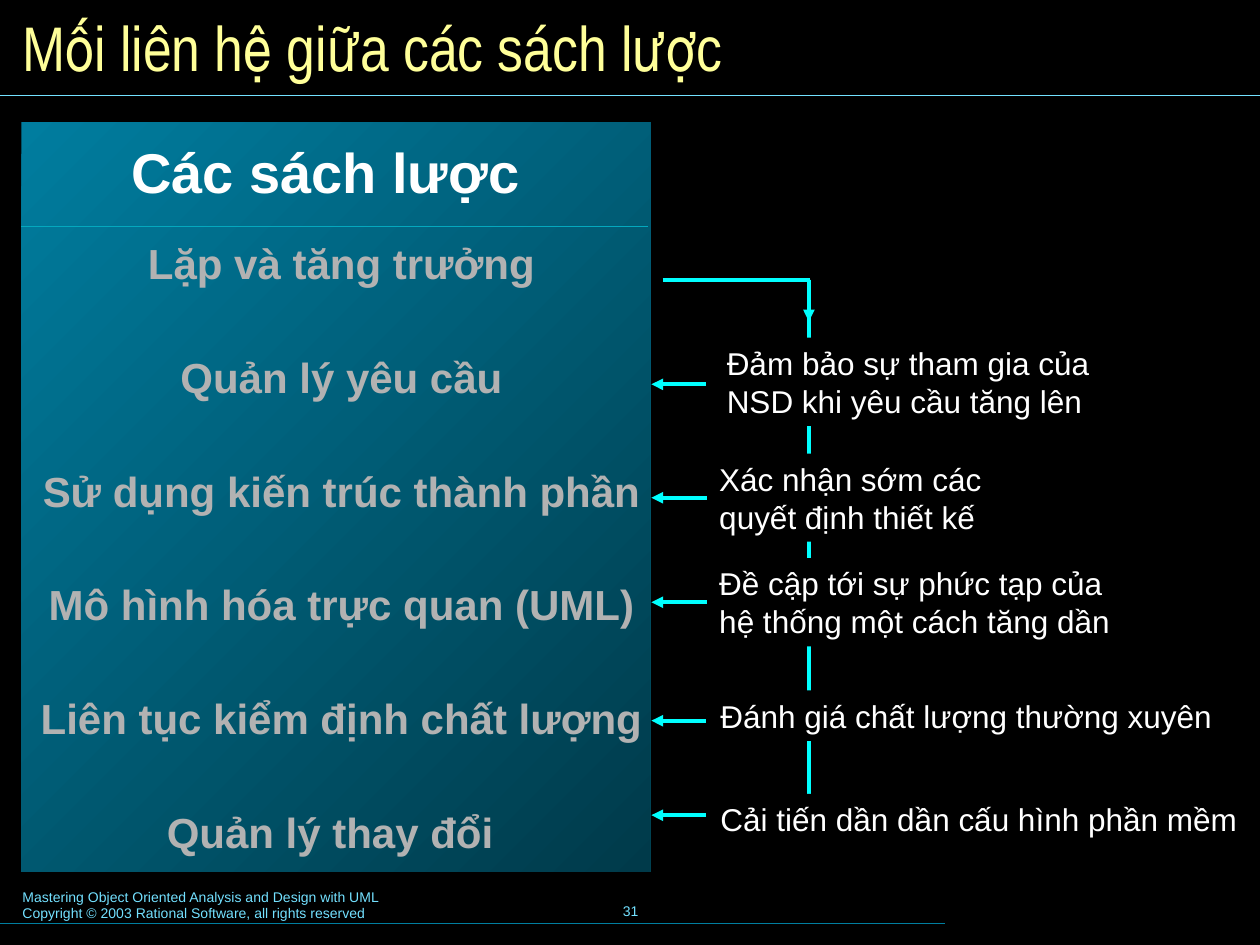
from lxml import etree
from pptx import Presentation
from pptx import util as u
from pptx.dml.color import RGBColor
from pptx.enum import shapes, text
from pptx.oxml import ns

PX = 9144  # EMU in one px, 100 px to the inch

BLACK = RGBColor(0x00, 0x00, 0x00)
WHITE = RGBColor(0xFF, 0xFF, 0xFF)
GREY = RGBColor(0xB2, 0xB2, 0xB2)
YELLOW = RGBColor(0xFF, 0xFF, 0x99)
CYAN = RGBColor(0x00, 0xFF, 0xFF)
SKY = RGBColor(0x73, 0xE1, 0xFF)
TEAL = RGBColor(0x00, 0x7E, 0x9F)
RULE = RGBColor(0x04, 0xA8, 0xBE)
PANEL_LIGHT = RGBColor(0x00, 0x7D, 0x9F)
PANEL_DARK = RGBColor(0x00, 0x3A, 0x4A)

LEFT, CENTER = text.PP_ALIGN.LEFT, text.PP_ALIGN.CENTER
TOP, MIDDLE = text.MSO_ANCHOR.TOP, text.MSO_ANCHOR.MIDDLE

PRACTICES = [
    "Lặp và tăng trưởng",
    "Quản lý yêu cầu",
    "Sử dụng kiến trúc thành phần",
    "Mô hình hóa trực quan (UML)",
    "Liên tục kiểm định chất lượng",
    "Quản lý thay đổi",
]

# Left, top, width, height, arrow level, lines
BENEFITS = [
    (567, 268, 307, 70, 305, ["Đảm bảo sự tham gia của", "NSD khi yêu cầu tăng lên"]),
    (561, 360, 228, 70, 397, ["Xác nhận sớm các", "quyết định thiết kế"]),
    (561, 443, 331, 70, 480, ["Đề cập tới sự phức tạp của", "hệ thống một cách tăng dần"]),
    (562, 548, 410, 40, 572, ["Đánh giá chất lượng thường xuyên"]),
    (562, 630, 430, 40, 647, ["Cải tiến dần dần cấu hình phần mềm"]),
]
ARROW_START, ARROW_END = 560, 517
TRUNK = 642


def px(*values):
    return [u.Emu(v * PX) for v in values]


def place(shape, *box):
    shape.left, shape.top, shape.width, shape.height = px(*box)


def add_text_shadow(r):
    """Put a small black shadow behind a run, just after its fill."""
    effects = etree.Element(ns.qn("a:effectLst"))
    shadow = etree.SubElement(effects, ns.qn("a:outerShdw"), dist="25400", dir="2700000")
    etree.SubElement(shadow, ns.qn("a:srgbClr"), val=str(BLACK))
    r.font.fill._xPr.find(ns.qn("a:solidFill")).addnext(effects)


def write(shape, lines, *, size, color, font="Arial", bold=False, align=LEFT,
          anchor=TOP, wrap=True, spacing=1.0, gap=0, shadow=False):
    tf = shape.text_frame
    tf.auto_size = text.MSO_AUTO_SIZE.NONE
    tf.word_wrap = wrap
    tf.vertical_anchor = anchor
    for i, line in enumerate(lines):
        p = tf.paragraphs[0] if i == 0 else tf.add_paragraph()
        p.alignment = align
        p.line_spacing = spacing
        p.space_before = u.Pt(gap if i else 0)
        r = p.add_run()
        r.text = line
        r.font.size = u.Pt(size)
        r.font.bold = bold
        r.font.color.rgb = color
        r.font.name = font
        if shadow:
            add_text_shadow(r)
    return tf


def add_text(s, box, lines, **fmt):
    write(s.shapes.add_textbox(*px(*box)), lines, **fmt)


def add_line(s, x1, y1, x2, y2, color, width, arrow=False):
    line = s.shapes.add_connector(shapes.MSO_CONNECTOR.STRAIGHT, *px(x1, y1, x2, y2))
    line.line.color.rgb = color
    line.line.width = u.Pt(width)
    if arrow:
        etree.SubElement(line.line._get_or_add_ln(), ns.qn("a:tailEnd"), type="triangle")
    etree.SubElement(line._element.spPr, ns.qn("a:effectLst"))
    return line


def add_rect(s, *box):
    rect = s.shapes.add_shape(shapes.MSO_SHAPE.RECTANGLE, *px(*box))
    rect.shadow.inherit = False
    rect.line.fill.background()
    return rect


def add_panel(s):
    panel = add_rect(s, 17, 97, 499, 595)
    panel.fill.gradient()
    panel.fill.gradient_angle = 315
    for stop, color in zip(panel.fill.gradient_stops, (PANEL_LIGHT, PANEL_DARK)):
        stop.color.rgb = color


def add_benefit(s, x, y, w, h, level, lines):
    """A label that hides the trunk, with an arrow to the panel."""
    label = add_rect(s, x, y, w, h)
    label.fill.solid()
    label.fill.fore_color.rgb = BLACK
    write(label, lines, size=18, color=WHITE, wrap=False)
    middle = y + h // 2
    joined = abs(x - ARROW_START) <= 2 and abs(middle - level) <= 2
    if joined:
        level = middle
    arrow = add_line(s, ARROW_START, level, ARROW_END, level, CYAN, 2.25, arrow=True)
    if joined:
        arrow.begin_connect(label, 1)


def fill_practices(s, body):
    place(body, 17, 193, 508, 489)
    tf = write(body, PRACTICES, size=24, color=GREY, bold=True, align=CENTER,
               anchor=MIDDLE, spacing=0.85, gap=40.5, shadow=True)
    for p in tf.paragraphs:
        pPr = p._p.get_or_add_pPr()
        pPr.set("marL", "0")
        pPr.set("indent", "0")
        etree.SubElement(pPr, ns.qn("a:buNone"))
    # The last practice sits a little left of the centre
    tf.paragraphs[-1]._p.pPr.set("marR", str(18 * PX))
    s.shapes._spTree.append(body._element)  # in front of the panel


def main():
    prs = Presentation()
    prs.slide_width, prs.slide_height = px(1000, 750)
    s = prs.slides.add_slide(prs.slide_layouts[1])
    s.background.fill.solid()
    s.background.fill.fore_color.rgb = BLACK
    title, body = s.placeholders

    # Title and footer
    place(title, 8, 8, 984, 58)
    write(title, ["Mối liên hệ giữa các sách lược"], size=36, color=YELLOW,
          font="Arial Narrow", anchor=MIDDLE)
    add_line(s, 0, 76, 1000, 76, SKY, 0.75)
    add_line(s, 0, 733, 750, 733, TEAL, 0.75)
    add_text(s, (342, 698, 317, 50), ["31"], size=8, color=SKY, align=CENTER,
             anchor=MIDDLE)
    add_text(s, (8, 700, 510, 37),
             ["Mastering Object Oriented Analysis and Design with UML",
              "Copyright © 2003 Rational Software, all rights reserved"],
             size=8, color=SKY)

    # Trunk from the first practice, and the benefits along it
    add_line(s, 526, 222, 643, 222, CYAN, 2.25)
    add_line(s, TRUNK, 222, TRUNK, 638, CYAN, 2.25)
    add_line(s, TRUNK, 222, TRUNK, 255, CYAN, 2.25, arrow=True)
    for benefit in BENEFITS:
        add_benefit(s, *benefit)

    # Panel of practices
    add_panel(s)
    add_text(s, (86, 113, 345, 55), ["Các sách lược"], size=32, color=WHITE, bold=True,
             align=CENTER, anchor=MIDDLE, wrap=False, spacing=0.8, shadow=True)
    add_line(s, 17, 180, 514, 180, RULE, 0.75)
    fill_practices(s, body)

    prs.save("out.pptx")


if __name__ == "__main__":
    main()
